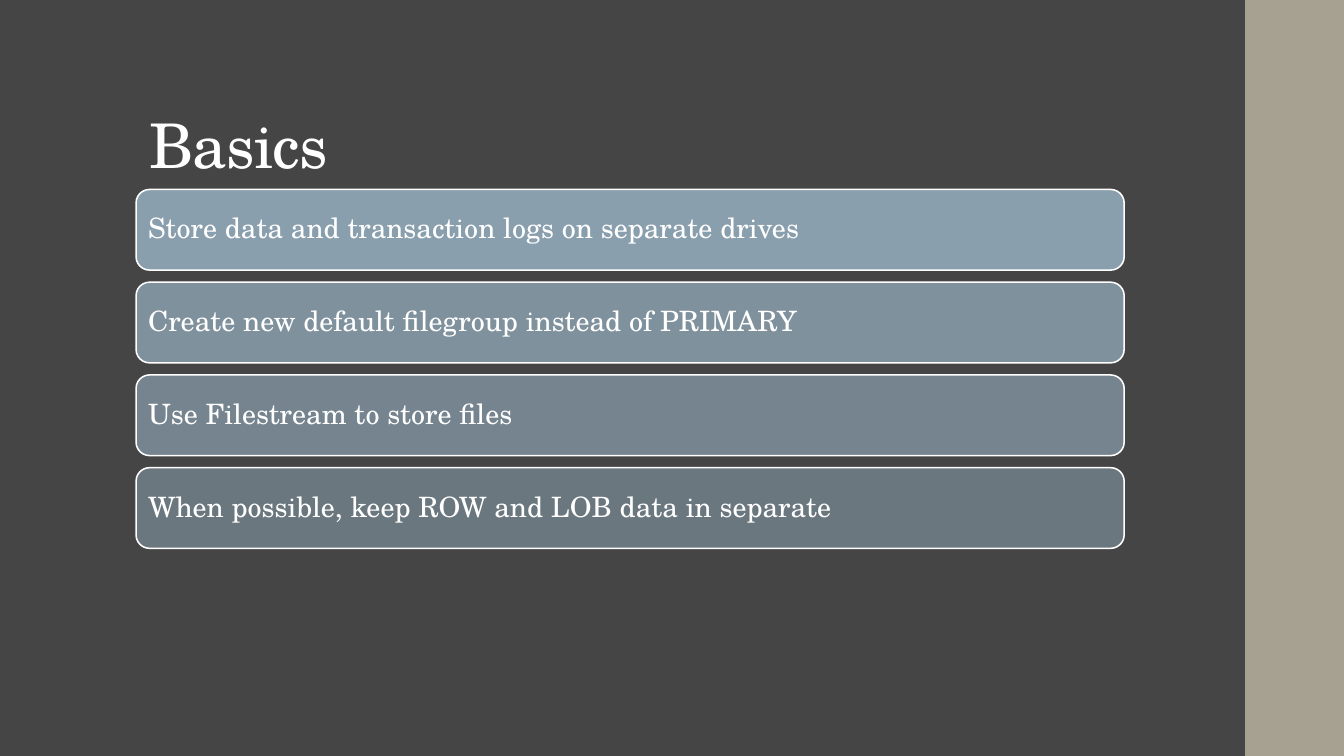
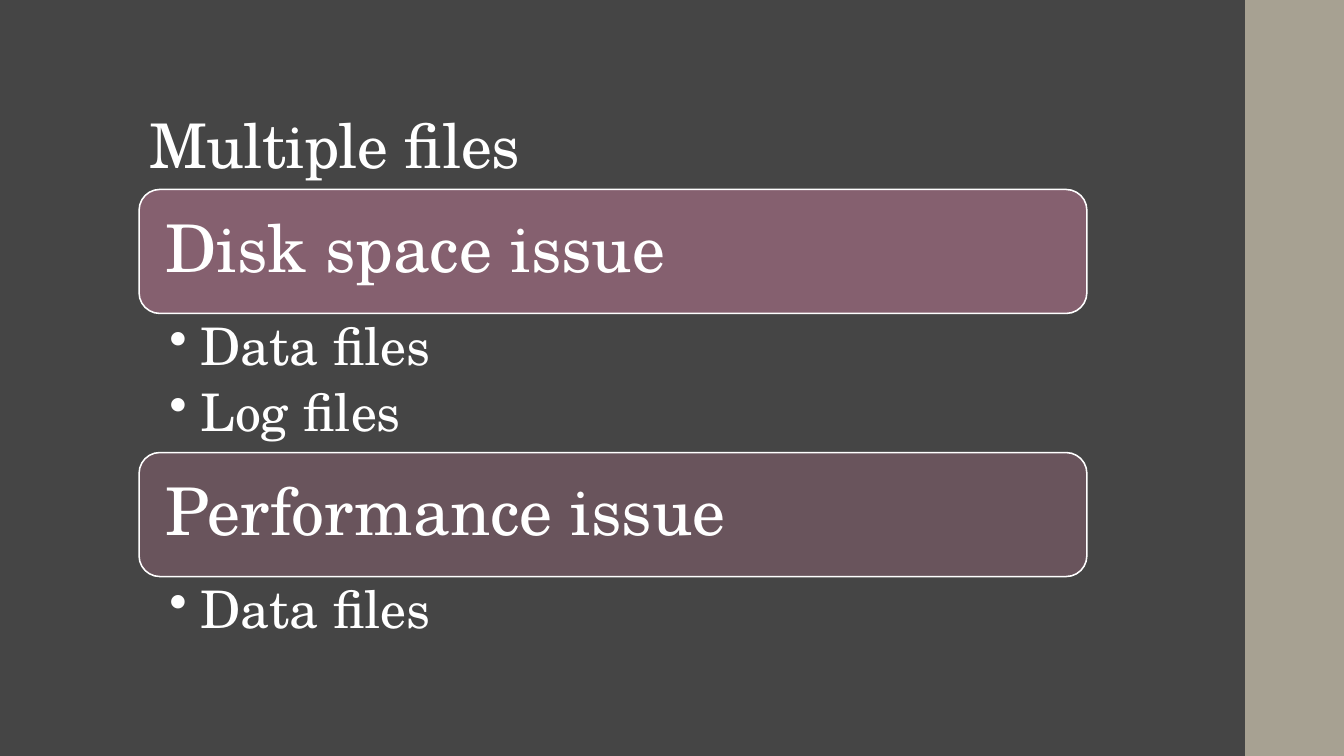
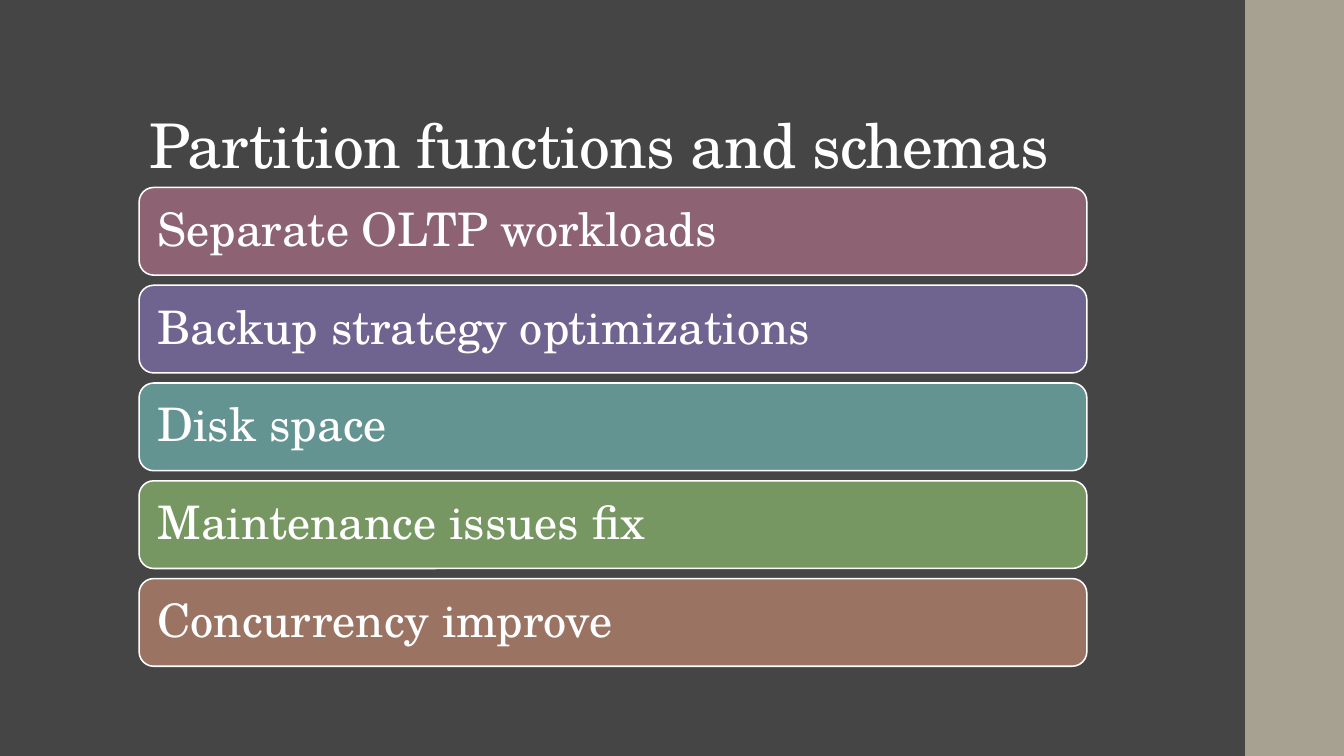
from lxml import etree
from pptx import Presentation
from pptx.dml.color import RGBColor
from pptx.enum.shapes import MSO_SHAPE
from pptx.enum.text import MSO_ANCHOR, PP_ALIGN
from pptx.oxml.ns import qn
from pptx.util import Inches, Pt

RECT = MSO_SHAPE.RECTANGLE
ROUND = MSO_SHAPE.ROUNDED_RECTANGLE
LEFT = PP_ALIGN.LEFT
TOP, MIDDLE, BOTTOM = MSO_ANCHOR.TOP, MSO_ANCHOR.MIDDLE, MSO_ANCHOR.BOTTOM

FONT = "TeX Gyre Schola"
WHITE, DARK, SAND = "FFFFFF", "454545", "A7A192"
BLUE, PLUM = "92A9B9", "8D6374"


def color(code):
    return RGBColor.from_string(code)


class Deck:
    def __init__(self):
        self.prs = Presentation()
        self.prs.slide_width = Inches(13.33)
        self.prs.slide_height = Inches(7.5)
        fill = self.prs.slide_master.background.fill
        fill.solid()
        fill.fore_color.rgb = color(DARK)
        self.slide = None

    def page(self, title):
        """Start a slide with its side band and title."""
        self.slide = self.prs.slides.add_slide(self.prs.slide_layouts[6])
        self.block(RECT, (12.35, 0, 0.98, 7.5), SAND)
        box = self.slide.shapes.add_textbox(*map(Inches, (1.38, 0.4, 10.6, 1.45)))
        self.label(box, [title], 44, BOTTOM, (0.1, 0.05, 0.1, 0.05))
        for run in box.text_frame.paragraphs[0].runs:
            run._r.get_or_add_rPr().set("spc", "-50")

    def block(self, kind, area, fill, alpha=100):
        shape = self.slide.shapes.add_shape(kind, *map(Inches, area))
        shape.shadow.inherit = False
        shape.fill.solid()
        shape.fill.fore_color.rgb = color(fill)
        shape.line.fill.background()
        if alpha < 100:
            tint = shape._element.spPr.find(qn("a:solidFill"))[0]
            etree.SubElement(tint, qn("a:alpha")).set("val", str(alpha * 1000))
        return shape

    def label(self, shape, lines, size, anchor, pads):
        frame = shape.text_frame
        frame.word_wrap = True
        frame.vertical_anchor = anchor
        (frame.margin_left, frame.margin_top,
         frame.margin_right, frame.margin_bottom) = map(Inches, pads)
        frame.text = "\n".join(lines)
        for para in frame.paragraphs:
            para.alignment = LEFT
            para.line_spacing = 0.9
            for run in para.runs:
                run.font.name = FONT
                run.font.size = Pt(size)
                run.font.color.rgb = color(WHITE)

    def bar(self, text, area, fill, alpha, size, pad):
        shape = self.block(ROUND, area, fill, alpha)
        shape.line.color.rgb = color(WHITE)
        shape.line.width = Pt(1.1)
        self.label(shape, [text], size, MIDDLE, [pad] * 4)

    def stack(self, rows, area, step, size, pad):
        """Equal bars, one below the other; a row is text, fill, alpha."""
        left, top, width, height = area
        for i, (text, fill, alpha) in enumerate(rows):
            spot = (left, top + i * step, width, height)
            self.bar(text, spot, fill, alpha, size, pad)

    def bullets(self, lines, area, size):
        box = self.slide.shapes.add_textbox(*map(Inches, area))
        self.label(box, lines, size, TOP, (0.3, 0.07, 0.37, 0.07))
        for para in box.text_frame.paragraphs:
            para.space_after = Pt(size * 0.2)
            props = para._p.get_or_add_pPr()
            props.set("marL", str(Inches(0.31)))
            props.set("indent", str(Inches(-0.31)))
            etree.SubElement(props, qn("a:buChar")).set("char", "•")


def main():
    deck = Deck()

    # Basics: bars that fade downwards
    deck.page("Basics")
    deck.stack([
        ("Store data and transaction logs on separate drives", BLUE, 90),
        ("Create new default filegroup instead of PRIMARY", BLUE, 77),
        ("Use Filestream to store files", BLUE, 63),
        ("When possible, keep ROW and LOB data in separate", BLUE, 50),
    ], (1.35, 1.88, 9.8, 0.8), 0.92, 20, 0.08)

    # Multiple files: each bar is followed by its list
    deck.page("Multiple files")
    top = 1.88
    for head, alpha, items, height in [
        ("Disk space issue", 90, ["Data files", "Log files"], 1.38),
        ("Performance issue", 50, ["Data files"], 0.85),
    ]:
        deck.bar(head, (1.38, top, 9.4, 1.23), PLUM, alpha, 47, 0.2)
        top += 1.23
        deck.bullets(items, (1.38, top, 9.4, height), 37)
        top += height

    # Partitions: one colour per bar
    deck.page("Partition functions and schemas")
    deck.stack([
        ("Separate OLTP workloads", PLUM, 100),
        ("Backup strategy optimizations", "6F6390", 100),
        ("Disk space", "639491", 100),
        ("Maintenance issues fix", "769762", 100),
        ("Concurrency improve", "9B7362", 100),
    ], (1.38, 1.86, 9.4, 0.87), 0.97, 33, 0.14)

    deck.prs.save("out.pptx")


if __name__ == "__main__":
    main()
